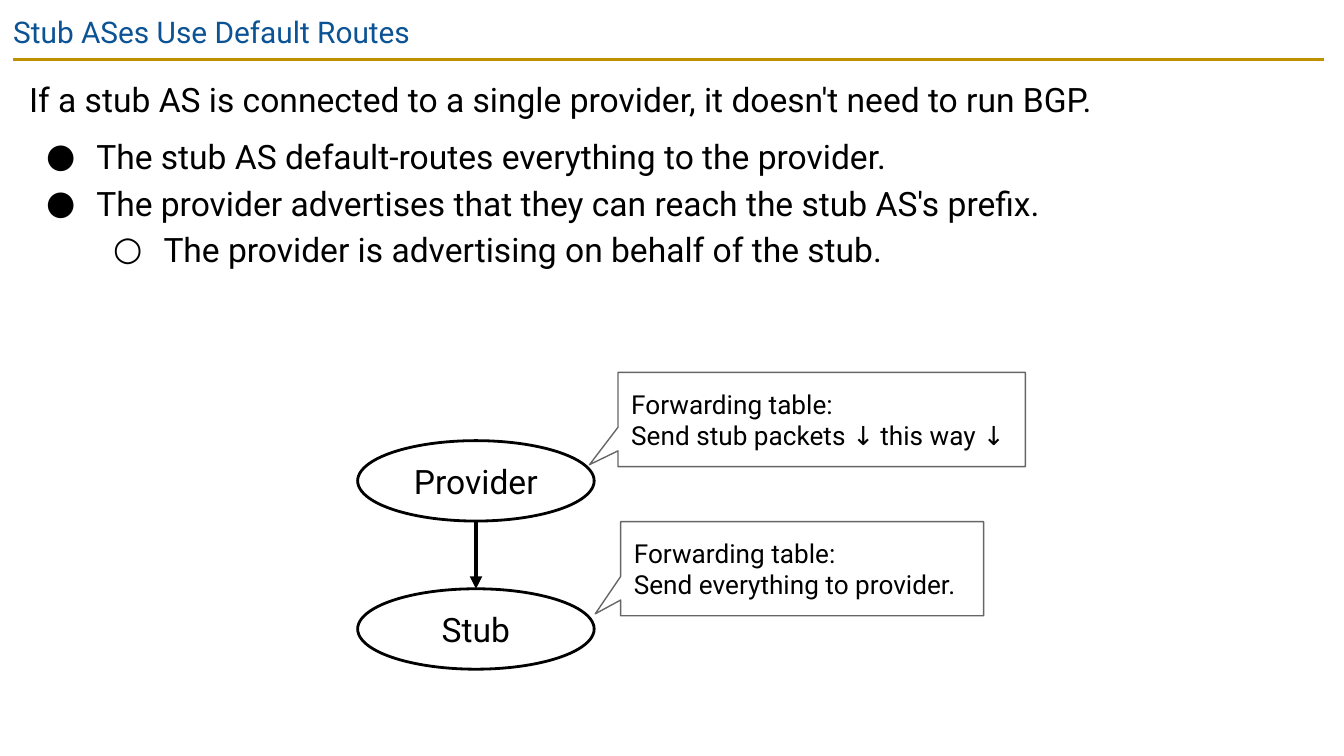
from lxml.etree import SubElement
from pptx import Presentation
from pptx.dml.color import RGBColor
from pptx.enum.shapes import MSO_CONNECTOR, MSO_SHAPE
from pptx.enum.text import MSO_ANCHOR, MSO_AUTO_SIZE, PP_ALIGN
from pptx.oxml.ns import qn
from pptx.util import Cm, Pt


def rgb(value):
    """Turn a hex string into a colour."""
    return RGBColor.from_string(value)


class RouteSlide:
    """Holds the style and the slide being built."""

    font_name = "Roboto"
    ink, heading, gold, grey = "000000", "0B5394", "BF9000", "666666"
    inset = 0.25

    def __init__(self, slide):
        """Keep the slide to draw on."""
        self.slide = slide

    def style(self, paragraph, size, color, align=PP_ALIGN.LEFT):
        """Set font and alignment of a paragraph."""
        paragraph.alignment = align
        paragraph.font.name = self.font_name
        paragraph.font.size = Pt(size)
        paragraph.font.color.rgb = rgb(color)

    def frame(self, shape, anchor):
        """Prepare the text frame of a shape."""
        frame = shape.text_frame
        frame.word_wrap = True
        frame.auto_size = MSO_AUTO_SIZE.NONE
        frame.vertical_anchor = anchor
        frame.margin_left = frame.margin_right = Cm(self.inset)
        frame.margin_top = frame.margin_bottom = Cm(self.inset)
        return frame

    def place(self, shape, left, top, width, height):
        """Move and size a placeholder."""
        shape.left, shape.top = Cm(left), Cm(top)
        shape.width, shape.height = Cm(width), Cm(height)

    def title(self, text, *box):
        """Fill the title placeholder."""
        title = self.slide.shapes.title
        self.place(title, *box)
        frame = self.frame(title, MSO_ANCHOR.TOP)
        frame.text = text
        self.style(frame.paragraphs[0], 16, self.heading)

    def body(self, items, *box):
        """Fill the body placeholder with (text, level, bullet, space) items."""
        body = self.slide.placeholders[1]
        self.place(body, *box)
        frame = self.frame(body, MSO_ANCHOR.TOP)
        frame.text = "\n".join(item[0] for item in items)
        for paragraph, (_, level, bullet, space) in zip(frame.paragraphs, items):
            paragraph.level = level
            paragraph.line_spacing = 1.15
            paragraph.space_before = Pt(space)
            self.bullet(paragraph, level, bullet)
            self.style(paragraph, 18, self.ink)

    def bullet(self, paragraph, level, char):
        """Set indents and the bullet of a paragraph."""
        props = paragraph._p.get_or_add_pPr()
        props.set("marL", str(Cm(1.27 * (level + 1)) if char else 0))
        props.set("indent", str(Cm(-0.95) if char else 0))
        if char:
            color = SubElement(props, qn("a:buClr"))
            SubElement(color, qn("a:srgbClr"), val=self.ink)
            SubElement(props, qn("a:buFont"), typeface=self.font_name)
            SubElement(props, qn("a:buChar"), char=char)
        else:
            SubElement(props, qn("a:buNone"))

    def outlined(self, kind, text, box, line, size, align):
        """Draw an unfilled shape with text."""
        color, width = line
        shape = self.slide.shapes.add_shape(kind, *map(Cm, box))
        shape.shadow.inherit = False
        shape.fill.background()
        shape.line.color.rgb = rgb(color)
        shape.line.width = Pt(width)
        frame = self.frame(shape, MSO_ANCHOR.MIDDLE)
        frame.text = text
        for paragraph in frame.paragraphs:
            self.style(paragraph, size, self.ink, align)
        return shape

    def node(self, text, *box):
        """Draw an autonomous system."""
        return self.outlined(MSO_SHAPE.OVAL, text, box, (self.ink, 1.5), 18, PP_ALIGN.CENTER)

    def callout(self, rule, *box):
        """Draw a forwarding table note pointing down left."""
        note = self.outlined(MSO_SHAPE.ROUNDED_RECTANGULAR_CALLOUT,
                             f"Forwarding table:\n{rule}", box,
                             (self.grey, 0.75), 14, PP_ALIGN.LEFT)
        for index, value in enumerate((-0.57, 0.48, 0)):
            note.adjustments[index] = value

    def line(self, start, end, color, width, arrow=False):
        """Draw a straight line, with an arrowhead if asked."""
        line = self.slide.shapes.add_connector(MSO_CONNECTOR.STRAIGHT, *start, *end)
        line.line.color.rgb = rgb(color)
        line.line.width = Pt(width)
        if arrow:
            SubElement(line.line._get_or_add_ln(), qn("a:tailEnd"), type="triangle")
        SubElement(line._element.spPr, qn("a:effectLst"))


def main():
    """Build and save the slide."""
    deck = Presentation()
    deck.slide_width, deck.slide_height = Cm(25.4), Cm(14.29)
    page = RouteSlide(deck.slides.add_slide(deck.slide_layouts[1]))

    page.line((Cm(0.25), Cm(1.12)), (Cm(25.02), Cm(1.12)), page.gold, 1.5)
    page.title("Stub ASes Use Default Routes", 0, 0, 23.67, 1.09)
    page.body([
        ("If a stub AS is connected to a single provider, it doesn't need to run BGP.", 0, None, 0),
        ("The stub AS default-routes everything to the provider.", 0, "●", 6),
        ("The provider advertises that they can reach the stub AS's prefix.", 0, "●", 0),
        ("The provider is advertising on behalf of the stub.", 1, "○", 0),
    ], 0.3, 1.12, 24.74, 12.57)

    provider = page.node("Provider", 6.76, 8.33, 4.47, 1.52)
    stub = page.node("Stub", 6.76, 11.13, 4.47, 1.52)
    center = provider.left + provider.width // 2
    page.line((center, provider.top + provider.height), (center, stub.top),
              page.ink, 2.25, arrow=True)

    page.callout("Send everything to provider.", 11.73, 9.86, 6.86, 1.78)
    page.callout("Send stub packets ↓ this way ↓", 11.68, 7.04, 7.7, 1.78)

    deck.save("out.pptx")


if __name__ == "__main__":
    main()
